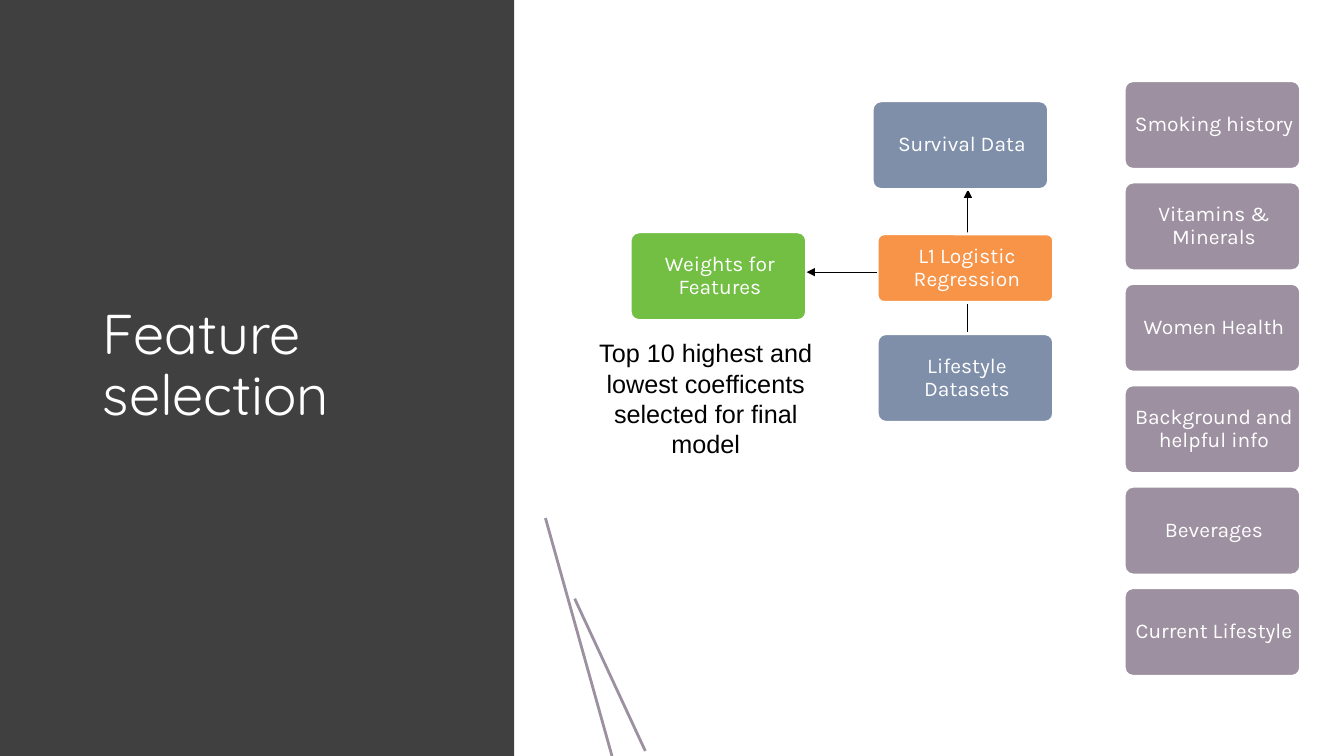
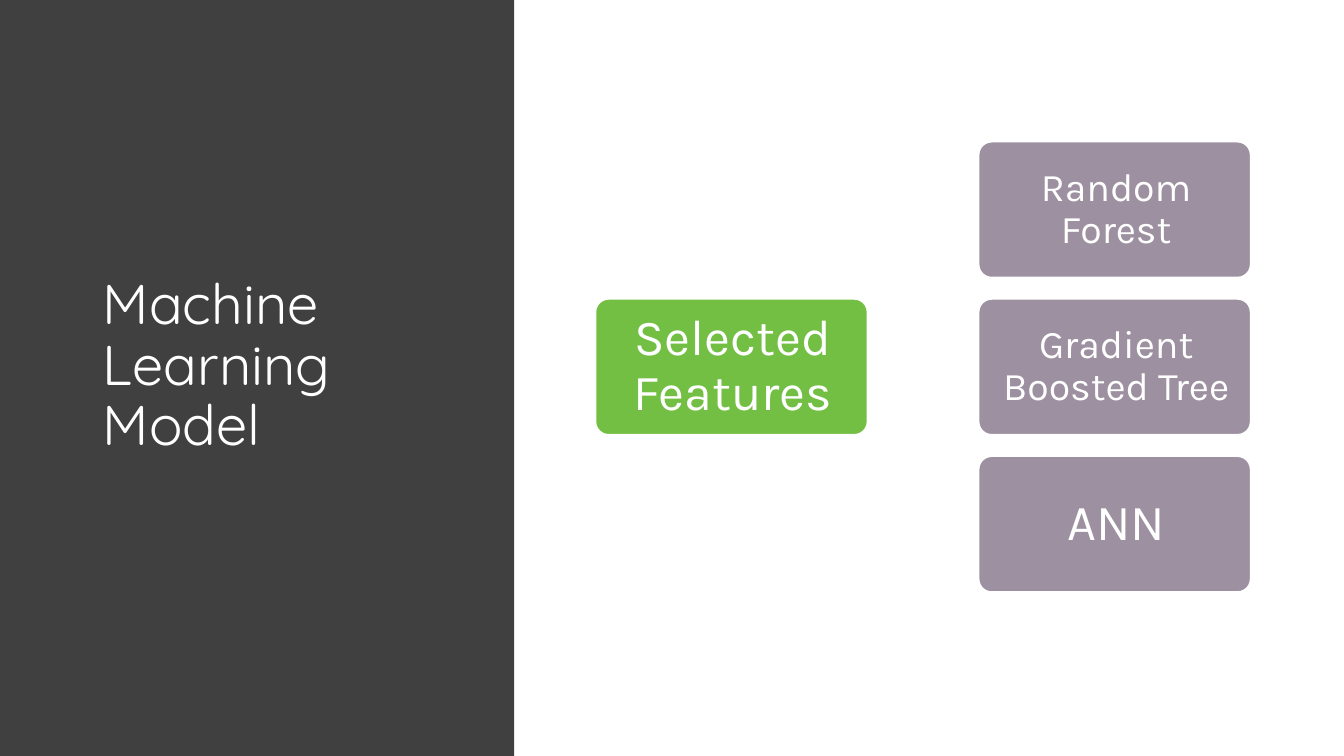
from lxml import etree
from pptx import Presentation
from pptx.dml.color import RGBColor
from pptx.enum.shapes import MSO_CONNECTOR, MSO_SHAPE
from pptx.enum.text import MSO_ANCHOR, MSO_AUTO_SIZE, PP_ALIGN
from pptx.oxml.ns import qn
from pptx.util import Inches, Pt

LINE = MSO_CONNECTOR.STRAIGHT
RECT, ROUND = MSO_SHAPE.RECTANGLE, MSO_SHAPE.ROUNDED_RECTANGLE
TOP, MIDDLE = MSO_ANCHOR.TOP, MSO_ANCHOR.MIDDLE
LEFT, CENTER = PP_ALIGN.LEFT, PP_ALIGN.CENTER
FIXED = MSO_AUTO_SIZE.NONE

WHITE = RGBColor(0xFF, 0xFF, 0xFF)
BLACK = RGBColor(0x00, 0x00, 0x00)
DARK = RGBColor(0x40, 0x40, 0x40)
BLUE = RGBColor(0x7F, 0x8F, 0xA9)
MAUVE = RGBColor(0x9D, 0x90, 0xA0)
ORANGE = RGBColor(0xF7, 0x94, 0x48)
GREEN = RGBColor(0x72, 0xBF, 0x44)


def write(shape, text, font="Karla", size=15, color=WHITE, align=CENTER,
          anchor=MIDDLE, inset=(0.1, 0.05, 0.1, 0.05), lead=0.9, after=0):
    frame = shape.text_frame
    frame.word_wrap = True
    frame.auto_size = FIXED
    frame.vertical_anchor = anchor
    (frame.margin_left, frame.margin_top,
     frame.margin_right, frame.margin_bottom) = [Inches(n) for n in inset]
    frame.text = text
    para = frame.paragraphs[0]
    para.alignment = align
    para.line_spacing = lead
    para.space_before = Pt(0)
    para.space_after = Pt(after)
    face = para.runs[0].font
    face.name, face.size, face.color.rgb = font, Pt(size), color


def connect(slide, start, end, color, width, arrow=False):
    """Draw a straight line, with an arrowhead at its end if asked."""
    link = slide.shapes.add_connector(LINE, *[Inches(n) for n in start + end])
    link.line.color.rgb = color
    link.line.width = Pt(width)
    props = link.element.spPr
    if arrow:
        etree.SubElement(props.find(qn("a:ln")), qn("a:tailEnd"), type="triangle")
    etree.SubElement(props, qn("a:effectLst"))


deck = Presentation()
deck.slide_width, deck.slide_height = Inches(13.33), Inches(7.5)

# Flow boxes: text, left, top, height, fill
SMALL = 1.75, 0.88
flow = [
    ("Survival Data", 8.65, 1, 0.88, BLUE),
    ("Lifestyle Datasets", 8.7, 3.31, 0.88, BLUE),
    ("L1 Logistic Regression", 8.7, 2.32, 0.68, ORANGE),
    ("Weights for Features", 6.25, 2.3, 0.88, GREEN),
]
topics = ["Smoking history", "Vitamins & Minerals", "Women Health",
          "Background and helpful info", "Beverages", "Current Lifestyle"]
models = [("Random Forest", 28), ("Gradient Boosted Tree", 28), ("ANN", 36)]

# Boxes of each slide: text, left, top, width, height, fill, text size
select = [(text, x, y, SMALL[0], high, fill, 15)
          for text, x, y, high, fill in flow]
select += [(text, 11.15, 0.8 + 1.006 * i, *SMALL, MAUVE, 15)
           for i, text in enumerate(topics)]
learn = [("Selected Features", 5.9, 2.96, 2.71, 1.36, GREEN, 36)]
learn += [(text, 9.7, 1.4 + 1.56 * i, 2.71, 1.36, MAUVE, size)
          for i, (text, size) in enumerate(models)]

# Shared look: dark side band, title on it, rounded boxes
pages = [("Feature selection", select, (0.04, 0.04, 0.01, 0.04), 5.2),
         ("Machine Learning Model", learn, (0.06, 0.06, 0.03, 0.06), 12.6)]
slides = []
for head, boxes, inset, after in pages:
    slide = deck.slides.add_slide(deck.slide_layouts[5])
    slides.append(slide)
    title = slide.shapes.title
    title.left, title.top = Inches(0.92), Inches(0.68)
    title.width, title.height = Inches(3.66), Inches(5.92)
    write(title, head, font="Quicksand", size=40, align=LEFT)

    band = slide.shapes.add_shape(RECT, 0, 0, Inches(5.1), deck.slide_height)
    band.shadow.inherit = False
    band.fill.solid()
    band.fill.fore_color.rgb = DARK
    band.line.fill.background()
    title.element.addprevious(band.element)

    if boxes is select:
        connect(slide, (9.6, 3.31), (9.6, 1.88), BLACK, 0.75, arrow=True)
    for text, x, y, wide, high, fill, size in boxes:
        box = slide.shapes.add_shape(
            ROUND, *[Inches(n) for n in (x, y, wide, high)])
        box.adjustments[0] = 0.1
        box.shadow.inherit = False
        box.fill.solid()
        box.fill.fore_color.rgb = fill
        box.line.color.rgb = WHITE
        box.line.width = Pt(2)
        write(box, text, size=size, inset=inset, after=after)

# Result arrow, note and slanted lines of the first slide
first = slides[0]
connect(first, (8.7, 2.7), (8, 2.7), BLACK, 0.75, arrow=True)
connect(first, (5.41, 5.14), (6.07, 7.5), MAUVE, 2)
connect(first, (5.7, 5.94), (6.4, 7.45), MAUVE, 2)
note = first.shapes.add_textbox(
    Inches(5.7), Inches(3.3), Inches(2.6), Inches(1.22))
write(note, "Top 10 highest and lowest coefficents selected for final model",
      font="Arial", size=18, color=BLACK, anchor=TOP, lead=1.0)

deck.save("out.pptx")
